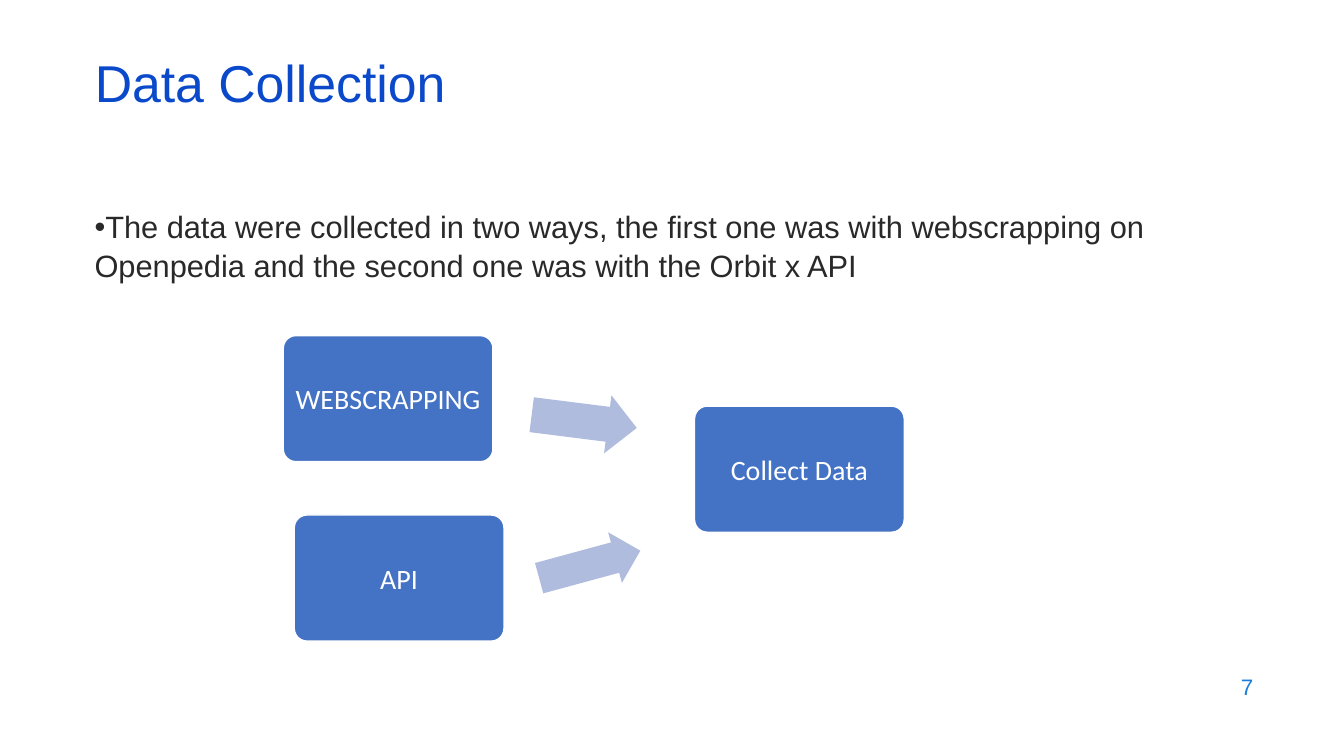
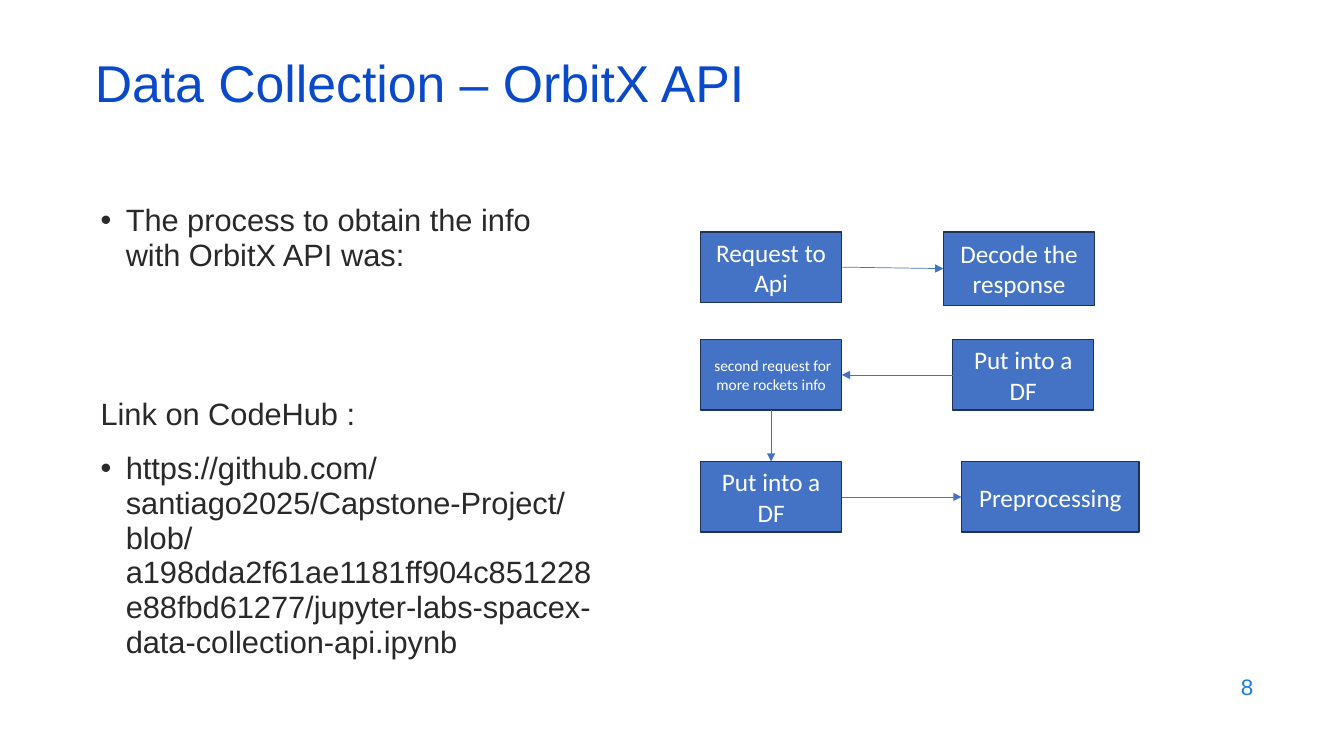
from dataclasses import dataclass
from typing import Optional

from lxml import etree
from pptx import Presentation
from pptx.dml.color import RGBColor
from pptx.enum.shapes import MSO_CONNECTOR, MSO_SHAPE
from pptx.enum.text import MSO_ANCHOR, MSO_AUTO_SIZE, PP_ALIGN
from pptx.oxml.ns import qn
from pptx.util import Inches, Pt

ROUNDED, RECTANGLE, BLOCK_ARROW = (
    MSO_SHAPE.ROUNDED_RECTANGLE, MSO_SHAPE.RECTANGLE, MSO_SHAPE.RIGHT_ARROW)
STRAIGHT = MSO_CONNECTOR.STRAIGHT
LEFT, CENTER, RIGHT = PP_ALIGN.LEFT, PP_ALIGN.CENTER, PP_ALIGN.RIGHT
TOP, MIDDLE = MSO_ANCHOR.TOP, MSO_ANCHOR.MIDDLE
NO_FIT = MSO_AUTO_SIZE.NONE

# Shared style
SLIDE_W, SLIDE_H = Inches(13.33), Inches(7.5)
TITLE_ONLY = 5
TITLE_BLUE, NUMBER_BLUE, INK = "0B49CB", "1C7DDB", "292929"
NODE_BLUE, NODE_EDGE, PALE_BLUE, WHITE = "4472C4", "1E3256", "B0BCDE", "FFFFFF"
BODY_FONT, NODE_FONT = "Arial", "Calibri"
BODY_SIZE = 22
HANGING = Inches(0.25)
SITE_TOP, SITE_LEFT, SITE_BOTTOM, SITE_RIGHT = range(4)


@dataclass(frozen=True)
class Box:
    """Position and size in percent of the slide's width and height."""
    left: float
    top: float
    width: float
    height: float

    def emu(self) -> tuple:
        return (int(SLIDE_W * self.left / 100), int(SLIDE_H * self.top / 100),
                int(SLIDE_W * self.width / 100), int(SLIDE_H * self.height / 100))


@dataclass(frozen=True)
class Line:
    text: str
    bullet: bool = True
    hanging: bool = True
    before: float = 14
    spacing: float = 0.94


@dataclass(frozen=True)
class Node:
    label: str
    box: Box
    size: float = 18


@dataclass(frozen=True)
class Arrow:
    box: Box
    rotation: float


@dataclass(frozen=True)
class Link:
    start: int
    start_site: int
    end: int
    end_site: int


TITLE_BOX = Box(6.3, 7.87, 86.25, 8)
NUMBER_BOX = Box(71.5, 87.87, 22.5, 5.87)

# Two sources feeding one collection
CARD_W, CARD_H = 15.6, 16.67
SOURCES_BODY = Box(6.3, 26.67, 86.25, 63.47)
SOURCES_TEXT = [
    Line("The data were collected in two ways, the first one was with "
         "webscrapping on Openpedia and the second one was with the Orbit x API",
         hanging=False, spacing=1.04),
]
CARDS = [
    Node("WEBSCRAPPING", Box(21.08, 44.4, CARD_W, CARD_H), 20),
    Node("API", Box(21.9, 68.13, CARD_W, CARD_H), 20),
    Node("Collect Data", Box(51.68, 53.73, CARD_W, CARD_H), 20),
]
ARROWS = [
    Arrow(Box(39.53, 51.87, 7.88, 7.73), 7.2),
    Arrow(Box(39.98, 71.2, 7.8, 6.93), 344.8),
]

# Steps of the API process
STEP_W, STEP_H = 10.5, 9.33
STEP_LEFT = 52.13
ROW_1, ROW_2, ROW_3 = 30.67, 44.93, 61.07
PROCESS_BODY = Box(6.75, 26.27, 38.03, 61.6)
PROCESS_TEXT = [
    Line("The process to obtain the info with OrbitX API was:"),
    Line("Link on CodeHub :", bullet=False, before=89),
    Line("https://github.com/santiago2025/Capstone-Project/blob/"
         "a198dda2f61ae1181ff904c851228e88fbd61277/"
         "jupyter-labs-spacex-data-collection-api.ipynb"),
]
STEPS = [
    Node("Request to Api", Box(STEP_LEFT, ROW_1, STEP_W, STEP_H)),
    Node("Decode the response", Box(70.2, ROW_1, 11.25, 9.73)),
    Node("Put into a DF", Box(70.88, ROW_2, STEP_W, STEP_H)),
    Node(" second request for more rockets info",
         Box(STEP_LEFT, ROW_2, STEP_W, STEP_H), 11),
    Node("Put into a DF", Box(STEP_LEFT, ROW_3, STEP_W, STEP_H)),
    Node("Preprocessing", Box(71.55, ROW_3, 13.2, STEP_H)),
]
LINKS = [
    Link(0, SITE_RIGHT, 1, SITE_LEFT),
    Link(2, SITE_LEFT, 3, SITE_RIGHT),
    Link(3, SITE_BOTTOM, 4, SITE_TOP),
    Link(4, SITE_RIGHT, 5, SITE_LEFT),
]


def color(hex_value: str) -> RGBColor:
    return RGBColor.from_string(hex_value)


def add_run(paragraph, text: str, font: str, size: float, hex_value: str) -> None:
    run = paragraph.add_run()
    run.text = text
    run.font.name, run.font.size = font, Pt(size)
    run.font.color.rgb = color(hex_value)


def prepare_frame(shape, anchor, margin: Optional[float] = None):
    frame = shape.text_frame
    frame.word_wrap, frame.auto_size = True, NO_FIT
    frame.vertical_anchor = anchor
    if margin is not None:
        frame.margin_left = frame.margin_right = Inches(margin)
        frame.margin_top = frame.margin_bottom = Inches(margin)
    return frame


def add_heading(slide, text: str) -> None:
    title = slide.shapes.title
    title.left, title.top, title.width, title.height = TITLE_BOX.emu()
    paragraph = prepare_frame(title, MIDDLE).paragraphs[0]
    paragraph.alignment, paragraph.line_spacing = LEFT, 0.7
    add_run(paragraph, text, BODY_FONT, 37, TITLE_BLUE)


def add_number(slide, number: int) -> None:
    holder = slide.shapes.add_textbox(*NUMBER_BOX.emu())
    paragraph = prepare_frame(holder, MIDDLE).paragraphs[0]
    paragraph.alignment = RIGHT
    add_run(paragraph, str(number), BODY_FONT, 16, NUMBER_BLUE)


def add_bullet(paragraph, hanging: bool) -> None:
    properties = paragraph._p.get_or_add_pPr()
    indent = HANGING if hanging else 0
    properties.set("marL", str(indent))
    properties.set("indent", str(-indent))
    font = etree.SubElement(properties, qn("a:buFont"))
    font.set("typeface", BODY_FONT)
    etree.SubElement(properties, qn("a:buChar")).set("char", "•")


def add_body(slide, box: Box, lines: list) -> None:
    frame = prepare_frame(slide.shapes.add_textbox(*box.emu()), TOP)
    for index, line in enumerate(lines):
        paragraph = frame.add_paragraph() if index else frame.paragraphs[0]
        if line.bullet:
            add_bullet(paragraph, line.hanging)
        paragraph.line_spacing = line.spacing
        if index:
            paragraph.space_before = Pt(line.before)
        add_run(paragraph, line.text, BODY_FONT, BODY_SIZE, INK)


def add_preset(slide, preset, box: Box, fill: str, edge: Optional[str] = None):
    shape = slide.shapes.add_shape(preset, *box.emu())
    shape.shadow.inherit = False
    shape.fill.solid()
    shape.fill.fore_color.rgb = color(fill)
    if edge:
        shape.line.color.rgb = color(edge)
        shape.line.width = Pt(1)
    else:
        shape.line.fill.background()
    return shape


def add_node(slide, node: Node, preset, edge: str, margin: Optional[float] = None):
    shape = add_preset(slide, preset, node.box, NODE_BLUE, edge)
    paragraph = prepare_frame(shape, MIDDLE, margin).paragraphs[0]
    paragraph.alignment = CENTER
    add_run(paragraph, node.label, NODE_FONT, node.size, WHITE)
    return shape


def add_arrow(slide, arrow: Arrow) -> None:
    shape = add_preset(slide, BLOCK_ARROW, arrow.box, PALE_BLUE)
    shape.adjustments[0], shape.adjustments[1] = 0.6, 0.5
    shape.rotation = arrow.rotation


def add_link(slide, link: Link, steps: list) -> None:
    connector = slide.shapes.add_connector(STRAIGHT, 0, 0, 0, 0)
    connector.begin_connect(steps[link.start], link.start_site)
    connector.end_connect(steps[link.end], link.end_site)
    connector.line.color.rgb = color(NODE_BLUE)
    connector.line.width = Pt(0.5)
    outline = connector.line._get_or_add_ln()
    etree.SubElement(outline, qn("a:tailEnd")).set("type", "triangle")
    etree.SubElement(connector._element.spPr, qn("a:effectLst"))


def start_slide(deck, title: str, number: int):
    slide = deck.slides.add_slide(deck.slide_layouts[TITLE_ONLY])
    add_heading(slide, title)
    add_number(slide, number)
    return slide


def build_sources(deck) -> None:
    slide = start_slide(deck, "Data Collection", 7)
    add_body(slide, SOURCES_BODY, SOURCES_TEXT)
    for card in CARDS:
        add_node(slide, card, ROUNDED, WHITE, 0.05).adjustments[0] = 0.1
    for arrow in ARROWS:
        add_arrow(slide, arrow)


def build_process(deck) -> None:
    slide = start_slide(deck, "Data Collection – OrbitX API", 8)
    add_body(slide, PROCESS_BODY, PROCESS_TEXT)
    steps = [add_node(slide, step, RECTANGLE, NODE_EDGE) for step in STEPS]
    for link in LINKS:
        add_link(slide, link, steps)


def main() -> None:
    deck = Presentation()
    deck.slide_width, deck.slide_height = SLIDE_W, SLIDE_H
    build_sources(deck)
    build_process(deck)
    deck.save("out.pptx")


if __name__ == "__main__":
    main()
